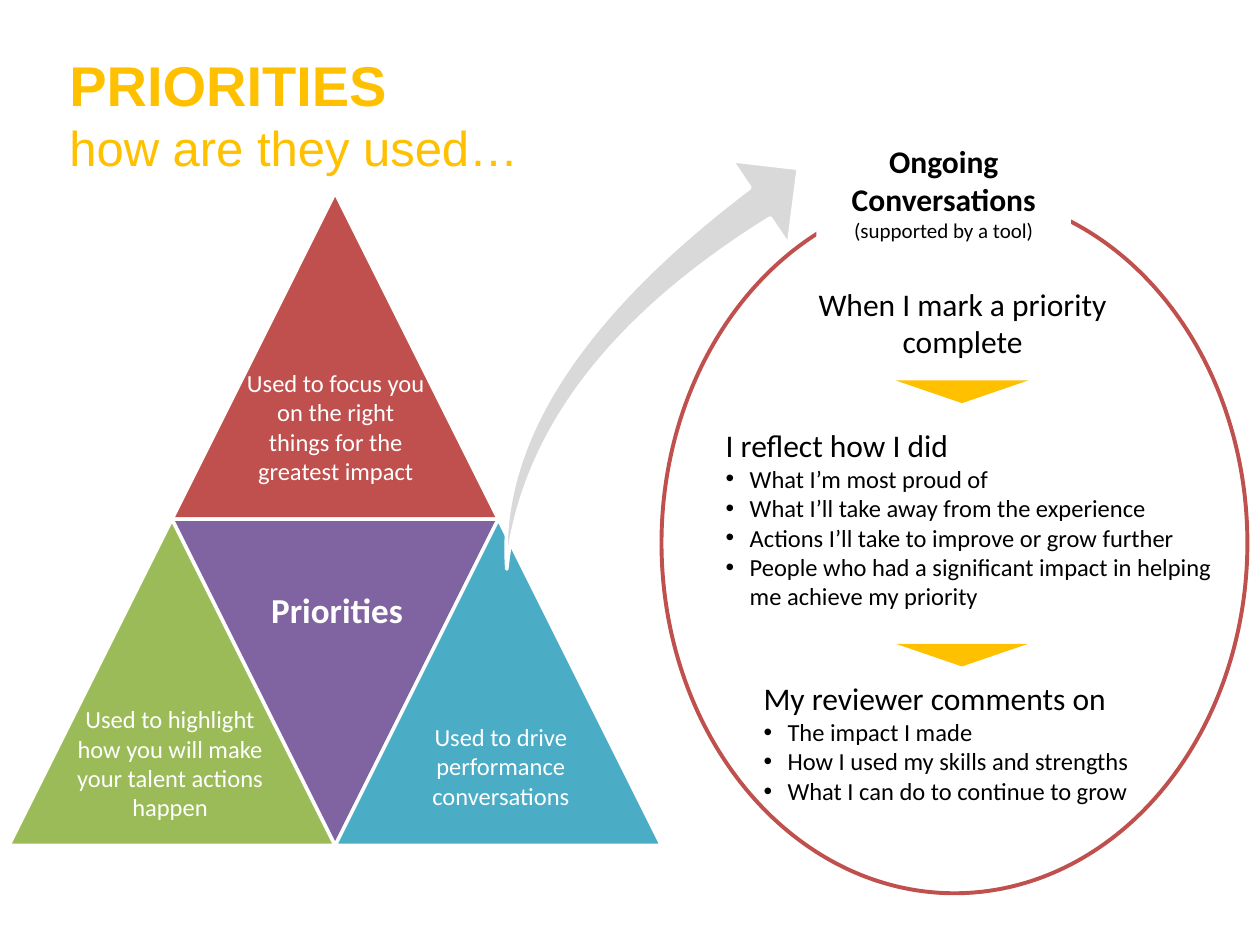
"""Builds the slide on how priorities are used."""
from lxml.etree import SubElement
from pptx import Presentation
from pptx.dml.color import RGBColor
from pptx.enum.shapes import MSO_SHAPE
from pptx.enum.text import MSO_ANCHOR, MSO_AUTO_SIZE, PP_ALIGN
from pptx.oxml.ns import qn
from pptx.util import Inches, Pt

COLORS = {
    "red": "C0504D", "green": "9BBB59", "purple": "8064A2", "teal": "4BACC6",
    "gold": "FFC000", "gray": "D9D9D9", "white": "FFFFFF", "black": "000000",
}


def rgb(name):
    """Return the named palette colour."""
    return RGBColor.from_string(COLORS[name])


def write(tf, text, size=14, color="black", bold=False, font="Calibri",
          align=PP_ALIGN.LEFT, bullet=False):
    """Add one formatted paragraph to a text frame."""
    p = tf.paragraphs[0] if not tf.text else tf.add_paragraph()
    p.alignment = align
    p.space_before = p.space_after = Pt(0)
    pPr = p._p.get_or_add_pPr()
    pPr.set("marL", str(Inches(0.19) if bullet else 0))
    pPr.set("indent", str(Inches(-0.19) if bullet else 0))
    if bullet:
        SubElement(pPr, qn("a:buFont")).set("typeface", "Arial")
        SubElement(pPr, qn("a:buChar")).set("char", "•")
    else:
        SubElement(pPr, qn("a:buNone"))
    r = p.add_run()
    r.text = text
    r.font.name, r.font.size, r.font.bold = font, Pt(size), bold
    r.font.color.rgb = rgb(color)


class Deck:
    """Holds the style and the current slide on a 100 by 75 grid."""

    def __init__(self, columns=100, rows=75):
        """Open a presentation with a title and two list placeholders."""
        self.prs = Presentation()
        self.prs.slide_width, self.prs.slide_height = Inches(10), Inches(7.5)
        self.col = self.prs.slide_width / columns
        self.row = self.prs.slide_height / rows
        self.s = self.prs.slides.add_slide(self.prs.slide_layouts[3])

    def box(self, x, y, w, h):
        """Turn grid columns and rows into slide lengths."""
        return (round(x * self.col), round(y * self.row),
                round(w * self.col), round(h * self.row))

    def shape(self, kind, *at, fill=None, line=None, width=2, rotation=0, flip=False):
        """Add a preset shape."""
        sp = self.s.shapes.add_shape(kind, *self.box(*at))
        sp.shadow.inherit = False
        sp.rotation = rotation
        if fill:
            sp.fill.solid()
            sp.fill.fore_color.rgb = rgb(fill)
        else:
            sp.fill.background()
        if line:
            sp.line.color.rgb = rgb(line)
            sp.line.width = Pt(width)
        else:
            sp.line.fill.background()
        if flip:
            sp._element.spPr.get_or_add_xfrm().set("flipV", "1")
        return sp

    def label(self, text, *at, **fmt):
        """Add a centred text box."""
        tf = self.s.shapes.add_textbox(*self.box(*at)).text_frame
        tf.word_wrap = True
        write(tf, text, align=PP_ALIGN.CENTER, **fmt)

    def placeholder(self, idx, *at, anchor=MSO_ANCHOR.TOP):
        """Move a template placeholder and return its text frame."""
        sp = self.s.placeholders[idx]
        sp.left, sp.top, sp.width, sp.height = self.box(*at)
        tf = sp.text_frame
        tf.word_wrap, tf.auto_size = True, MSO_AUTO_SIZE.NONE
        tf.vertical_anchor = anchor
        return tf

    def title(self, head, subhead, *at):
        """Fill the title with a bold line and a plain line."""
        tf = self.placeholder(0, *at, anchor=MSO_ANCHOR.BOTTOM)
        tf.margin_left = tf.margin_right = tf.margin_bottom = 0
        write(tf, head, size=32, color="gold", bold=True, font="Arial")
        write(tf, subhead, size=28, color="gold", font="Arial")

    def bullets(self, idx, head, items, *at):
        """Fill a body placeholder with a heading and a bulleted list."""
        tf = self.placeholder(idx, *at)
        write(tf, head, size=18)
        for item in items:
            write(tf, item, bullet=True)


def draw_pyramid(deck):
    """Draw the four triangles and their labels."""
    left, top, side = 0.7, 15.3, 25.9
    for column, row, color, rotation in (
            (0.5, 0, "red", 0), (0, 1, "green", 0),
            (0.5, 1, "purple", 180), (1, 1, "teal", 0)):
        deck.shape(MSO_SHAPE.ISOSCELES_TRIANGLE, left + column * side,
                   top + row * side, side, side, fill=color, line="white",
                   rotation=rotation)
    for text, *at in (
            ("Used to focus you on the right things for the greatest impact",
             18.5, 28.7, 16.3, 10.4),
            ("Used to highlight how you will make your talent actions happen",
             5.1, 55.4, 16.8, 10.4),
            ("Used to drive performance conversations", 28.2, 56.8, 23.1, 8.1)):
        deck.label(text, *at, color="white")
    deck.label("Priorities", 15.2, 46.2, 23.1, 4.4, size=20, color="white", bold=True)


def draw_conversations(deck):
    """Draw the oval with its heading, steps and lists."""
    deck.shape(MSO_SHAPE.OVAL, 52.5, 15.3, 46.5, 55.6, line="red", width=2.25)
    heading = deck.shape(MSO_SHAPE.RECTANGLE, 64.8, 10.8, 20.2, 9.1, fill="white")
    tf = heading.text_frame
    tf.vertical_anchor = MSO_ANCHOR.TOP
    write(tf, "Ongoing Conversations", size=18, bold=True, align=PP_ALIGN.CENTER)
    write(tf, "(supported by a tool)", size=12, align=PP_ALIGN.CENTER)
    deck.label("When I mark a priority complete", 63.4, 22.1, 26, 7.1, size=18)
    deck.bullets(1, "I reflect how I did", (
        "What I’m most proud of",
        "What I’ll take away from the experience",
        "Actions I’ll take to improve or grow further",
        "People who had a significant impact in helping me achieve my priority",
    ), 56.6, 33.3, 40.8, 15.8)
    deck.bullets(2, "My reviewer comments on", (
        "The impact I made",
        "How I used my skills and strengths",
        "What I can do to continue to grow",
    ), 59.6, 53.4, 40.4, 11.1)
    for y in (30.2, 51.1):
        deck.shape(MSO_SHAPE.ISOSCELES_TRIANGLE, 71.1, y, 10.5, 1.8,
                   fill="gold", flip=True)


def main():
    """Build and save the slide."""
    deck = Deck()
    deck.title("PRIORITIES", "how are they used…", 5.5, 3, 92.4, 11)
    draw_conversations(deck)
    draw_pyramid(deck)
    swoosh = deck.shape(MSO_SHAPE.SWOOSH_ARROW, 33.5, 17.7, 35.2, 20.5,
                        fill="gray", line="white", rotation=332.5)
    swoosh.adjustments[0], swoosh.adjustments[1] = 0.14, 0.2
    deck.prs.save("out.pptx")


if __name__ == "__main__":
    main()
